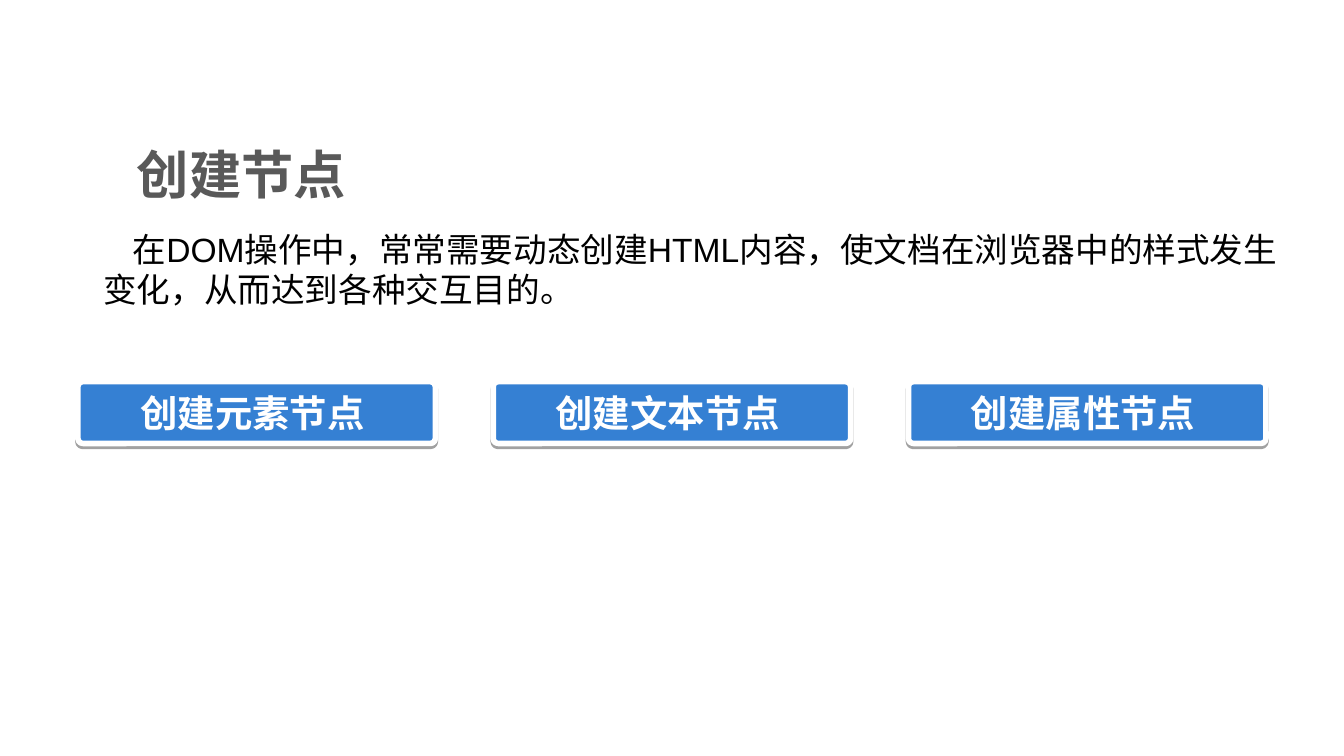
from dataclasses import dataclass

from lxml import etree
from pptx import Presentation
from pptx import util as u
from pptx.dml.color import RGBColor
from pptx.enum import shapes, text
from pptx.oxml.ns import qn


@dataclass(frozen=True)
class Theme:
    heading_font: str = "Noto Sans CJK SC"
    body_font: str = "Arial"
    heading_size: int = 28
    button_size: int = 20
    body_size: int = 18
    heading: str = "595959"
    body: str = "000000"
    button: str = "3580D3"
    white: str = "FFFFFF"
    shadow: str = "000000"


THEME = Theme()
BUTTONS = ["创建元素节点", "创建文本节点", "创建属性节点"]


def write_text(shape, content, *, size, color, font=THEME.body_font,
               bold=False, align=text.PP_ALIGN.LEFT, indent=0, right_inset=0.1):
    frame = shape.text_frame
    frame.word_wrap = True
    frame.vertical_anchor = text.MSO_ANCHOR.MIDDLE
    frame.margin_right = u.Inches(right_inset)
    para = frame.paragraphs[0]
    para.alignment = align
    if indent:
        para._p.get_or_add_pPr().set("indent", str(u.Inches(indent)))
    span = para.add_run()
    span.text = content
    span.font.name = font
    span.font.size = u.Pt(size)
    span.font.bold = bold
    span.font.color.rgb = RGBColor.from_string(color)
    if font == THEME.heading_font:
        etree.SubElement(span.font._element, qn("a:ea"), typeface=font)


def add_text(page, content, left, top, width, height, **style):
    box = page.shapes.add_textbox(*map(u.Inches, (left, top, width, height)))
    write_text(box, content, **style)


def add_drop_shadow(shape):
    """Put a hard, partly transparent shadow straight below the shape."""
    effects = etree.SubElement(shape._element.spPr, qn("a:effectLst"))
    shadow = etree.SubElement(effects, qn("a:outerShdw"), blurRad="0",
                              dist=str(u.Pt(1.6)), dir="5400000",
                              algn="t", rotWithShape="0")
    color = etree.SubElement(shadow, qn("a:srgbClr"), val=THEME.shadow)
    etree.SubElement(color, qn("a:alpha"), val="37000")


def add_button(page, label, left, top, width, height):
    button = page.shapes.add_shape(shapes.MSO_SHAPE.ROUNDED_RECTANGLE,
                                   *map(u.Inches, (left, top, width, height)))
    button.adjustments[0] = 0.08
    button.fill.solid()
    button.fill.fore_color.rgb = RGBColor.from_string(THEME.button)
    button.line.color.rgb = RGBColor.from_string(THEME.white)
    button.line.width = u.Pt(3)
    add_drop_shadow(button)
    write_text(button, label, size=THEME.button_size, color=THEME.white,
               bold=True, align=text.PP_ALIGN.CENTER, right_inset=0.16)


def main():
    deck = Presentation()
    deck.slide_width = u.Inches(10)
    deck.slide_height = deck.slide_width * 9 // 16
    page = deck.slides.add_slide(deck.slide_layouts[6])

    add_text(page, "创建节点", 0.92, 0.98, 7.17, 0.63, bold=True,
             font=THEME.heading_font, size=THEME.heading_size, color=THEME.heading)
    add_text(page, "在DOM操作中，常常需要动态创建HTML内容，使文档在浏览器中的样式发生变化，"
             "从而达到各种交互目的。", 0.67, 1.65, 9, 0.7,
             size=THEME.body_size, color=THEME.body, indent=0.22)

    for column, label in enumerate(BUTTONS):
        add_button(page, label, 0.58 + column * 3.09, 2.84, 2.66, 0.46)

    deck.save("out.pptx")


if __name__ == "__main__":
    main()
